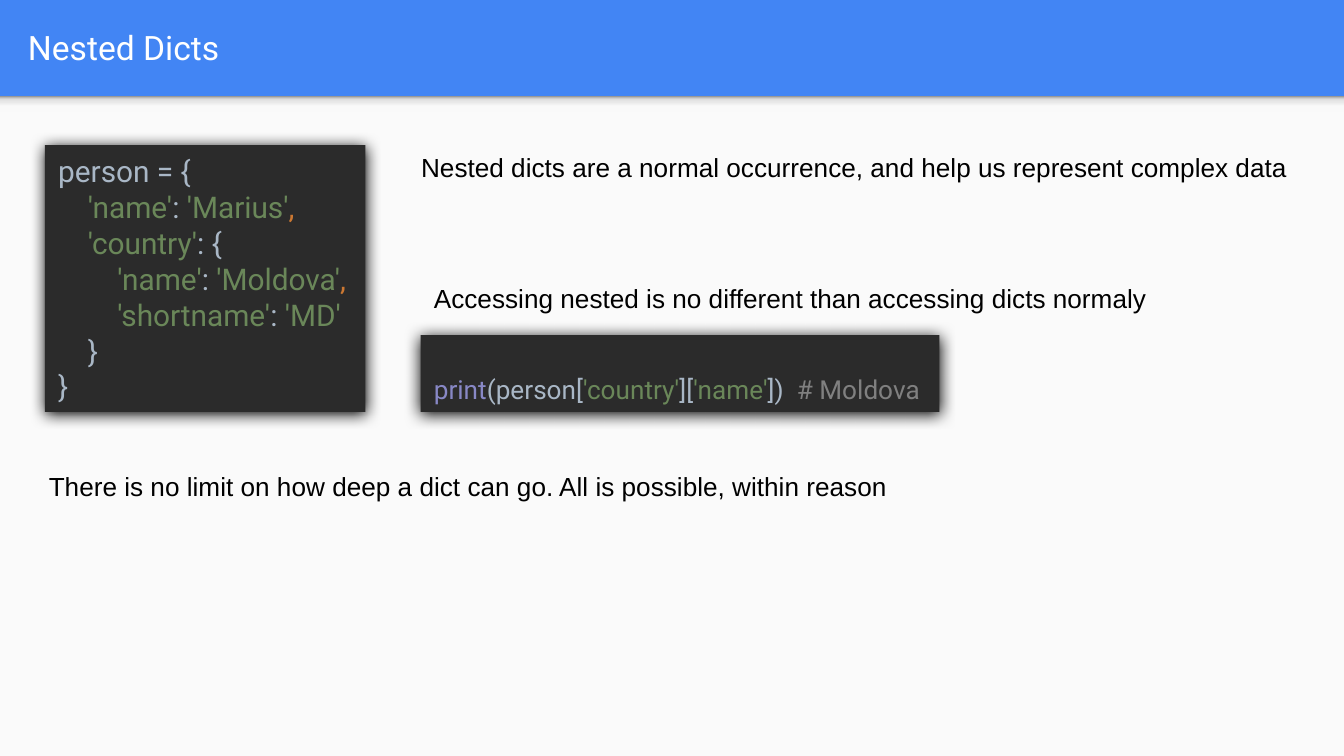
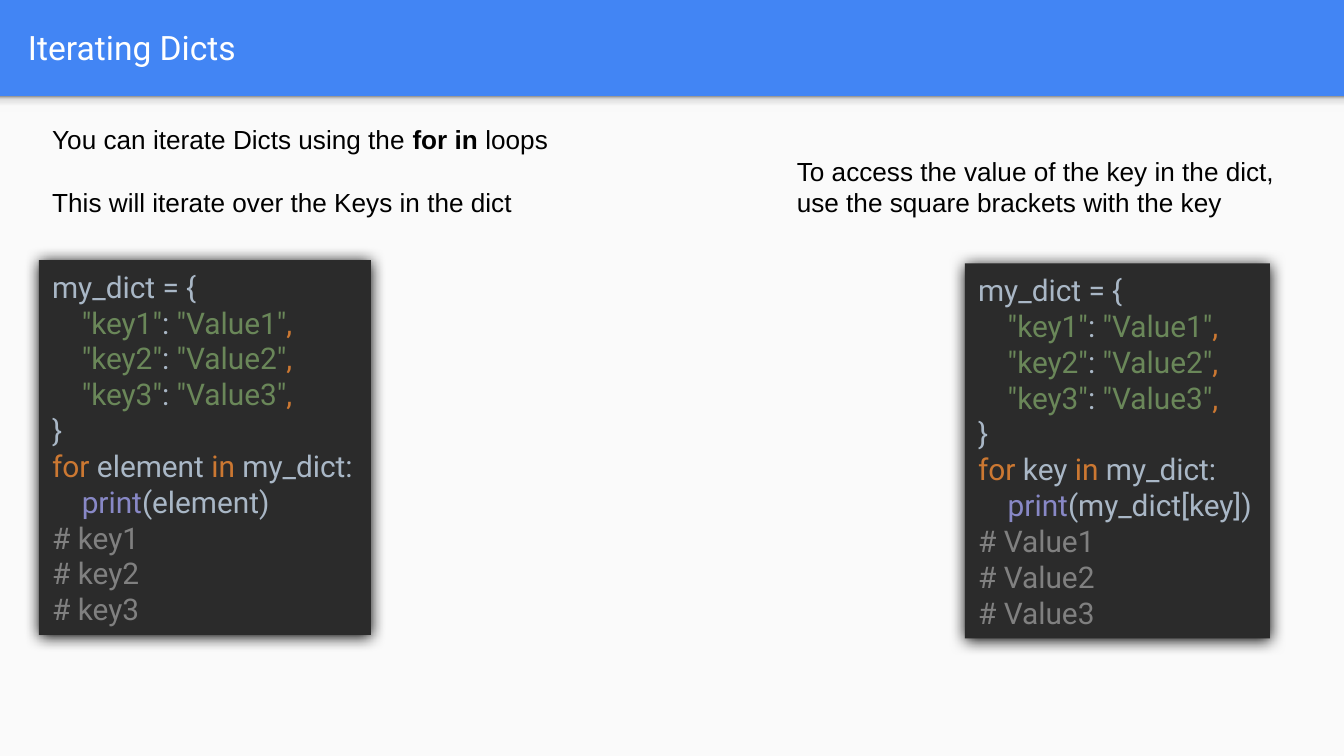
from itertools import groupby

from lxml import etree
from pptx import Presentation
from pptx.dml.color import RGBColor
from pptx.enum.shapes import MSO_SHAPE
from pptx.enum.text import MSO_ANCHOR, MSO_AUTO_SIZE
from pptx.oxml import parse_xml
from pptx.oxml.ns import nsdecls, qn
from pptx.util import Inches, Pt

RECT = MSO_SHAPE.RECTANGLE
TOP, MIDDLE = MSO_ANCHOR.TOP, MSO_ANCHOR.MIDDLE
GROW = MSO_AUTO_SIZE.SHAPE_TO_FIT_TEXT

WIDTH, HEIGHT = Inches(10), Inches(5.625)
UNIT = WIDTH / 100
BAND = 7.15
BODY_FONT, CODE_FONT = "Arial", "Roboto"
COLORS = {
    "header": "4285F4", "page": "FAFAFA", "title": "FFFFFF", "text": "000000",
    "editor": "2B2B2B", "plain": "A9B7C6", "string": "6A8759",
    "keyword": "CC7832", "builtin": "8888C6", "comment": "808080",
}
BAND_SHADOW = [(0, "F9F9F9"), (36, "F9F9F9"), (80, "DEDEDE"), (100, "999999")]
WORD_KINDS = {"for": "keyword", "in": "keyword", "print": "builtin"}

PERSON = """person = {
    'name': 'Marius',
    'country': {
        'name': 'Moldova',
        'shortname': 'MD'
    }
}"""
LOOP = """my_dict = {{
    "key1": "Value1",
    "key2": "Value2",
    "key3": "Value3",
}}
for {name} in my_dict:
    print({shown})
# {output}1
# {output}2
# {output}3"""


def rgb(name):
    """Return a named palette colour."""
    return RGBColor.from_string(COLORS[name])


def grid(*cells):
    """Convert columns and rows of the 100-column grid to lengths."""
    return [round(c * UNIT) for c in cells]


def style(r, size, color, font, bold=False):
    """Format one run."""
    r.font.size, r.font.name, r.font.bold = Pt(size), font, bold
    r.font.color.rgb = rgb(color)


def add_panel(slide, cells, color):
    """Add a flat rectangle without outline."""
    sp = slide.shapes.add_shape(RECT, *grid(*cells))
    sp.shadow.inherit = False
    sp.line.fill.background()
    sp.fill.solid()
    sp.fill.fore_color.rgb = rgb(color)
    return sp


def add_text(slide, cells, paragraphs, size=14, color="text", font=BODY_FONT,
             anchor=TOP, gap=0):
    """Add a text box whose paragraphs alternate normal and **bold** parts."""
    tf = slide.shapes.add_textbox(*grid(*cells)).text_frame
    tf.word_wrap, tf.vertical_anchor = True, anchor
    for i, text in enumerate(paragraphs):
        p = tf.add_paragraph() if i else tf.paragraphs[0]
        p.space_before = Pt(gap if i else 0)
        for j, part in enumerate(text.split("**")):
            r = p.add_run()
            r.text = part
            style(r, size, color, font, bold=j % 2 == 1)


def tokens(line):
    """Yield the kind and text of each token in a line of code."""
    i = 0
    while i < len(line):
        c, end, kind = line[i], i + 1, "plain"
        if c == "#":
            end, kind = len(line), "comment"
        elif c in "'\"":
            end, kind = line.index(c, i + 1) + 1, "string"
        elif c == ",":
            kind = "keyword"
        elif c.isalpha():
            while end < len(line) and (line[end].isalnum() or line[end] == "_"):
                end += 1
            kind = WORD_KINDS.get(line[i:end], "plain")
        yield kind, line[i:end]
        i = end


def add_code(slide, cells, code, size=16, top=0.05):
    """Add a shadowed editor panel with highlighted code."""
    sp = add_panel(slide, cells, "editor")
    effects = sp.element.spPr.find(qn("a:effectLst"))
    shadow = etree.SubElement(effects, qn("a:outerShdw"), blurRad=str(Pt(8.5)),
                              dist=str(Pt(1)), dir="5400000", algn="ctr", rotWithShape="0")
    etree.SubElement(shadow, qn("a:srgbClr"), val="000000")
    tf = sp.text_frame
    tf.word_wrap, tf.auto_size, tf.vertical_anchor = False, GROW, MIDDLE
    tf.margin_top = Inches(top)
    for i, line in enumerate(code.splitlines()):
        p = tf.add_paragraph() if i else tf.paragraphs[0]
        bare = line.lstrip()
        pPr = p._p.get_or_add_pPr()
        pPr.set("algn", "l")
        pPr.set("marL", str(Inches(0.055 * (len(line) - len(bare)))))
        for kind, group in groupby(tokens(bare), key=lambda token: token[0]):
            r = p.add_run()
            r.text = "".join(text for _, text in group)
            style(r, size, kind, CODE_FONT)


def add_slide(prs, title):
    """Add a slide with the header band, page area and title."""
    slide = prs.slides.add_slide(prs.slide_layouts[6])
    add_panel(slide, (0, BAND, 100, 56.25 - BAND), "page")
    strip = add_panel(slide, (0, BAND, 100, 1.2), "page")
    stops = "".join(f'<a:gs pos="{pos * 1000}"><a:srgbClr val="{color}"/></a:gs>'
                    for pos, color in BAND_SHADOW)
    spPr = strip.element.spPr
    spPr.replace(spPr.find(qn("a:solidFill")), parse_xml(
        f'<a:gradFill {nsdecls("a")}><a:gsLst>{stops}</a:gsLst>'
        '<a:lin ang="16200000" scaled="0"/></a:gradFill>'))
    add_text(slide, (1.1, 0.2, 96.5, 6.6), [title], 18, "title", CODE_FONT, MIDDLE)
    return slide


def add_nested_dicts(prs):
    """Build the slide on nested dicts."""
    slide = add_slide(prs, "Nested Dicts")
    add_code(slide, (3.35, 10.8, 23.85, 19.85), PERSON)
    add_text(slide, (30.35, 10.8, 67.3, 3.4),
             ["Nested dicts are a normal occurrence, and help us represent complex data"])
    add_code(slide, (31.3, 24.95, 38.6, 5.7),
             "print(person['country']['name'])  # Moldova", 14, top=0.28)
    add_text(slide, (31.3, 20.5, 61.1, 3.4),
             ["Accessing nested is no different than accessing dicts normaly"])
    add_text(slide, (2.65, 34.5, 88.7, 3.4),
             ["There is no limit on how deep a dict can go. All is possible, within reason"])


def add_iterating_dicts(prs):
    """Build the slide on iterating dicts."""
    slide = add_slide(prs, "Iterating Dicts")
    add_text(slide, (2.9, 8.7, 41.6, 8.1),
             ["You can iterate Dicts using the **for in **loops",
              "This will iterate over the Keys in the dict"], gap=17)
    add_code(slide, (2.9, 19.35, 24.7, 27.9),
             LOOP.format(name="element", shown="element", output="key"))
    add_code(slide, (71.8, 19.6, 22.7, 27.9),
             LOOP.format(name="key", shown="my_dict[key]", output="Value"))
    add_text(slide, (58.3, 11.05, 38.8, 5.7),
             ["To access the value of the key in the dict, "
              "use the square brackets with the key"])


def main():
    """Build and save the presentation."""
    prs = Presentation()
    prs.slide_width, prs.slide_height = WIDTH, HEIGHT
    fill = prs.slide_master.background.fill
    fill.solid()
    fill.fore_color.rgb = rgb("header")
    add_nested_dicts(prs)
    add_iterating_dicts(prs)
    prs.save("out.pptx")


if __name__ == "__main__":
    main()
